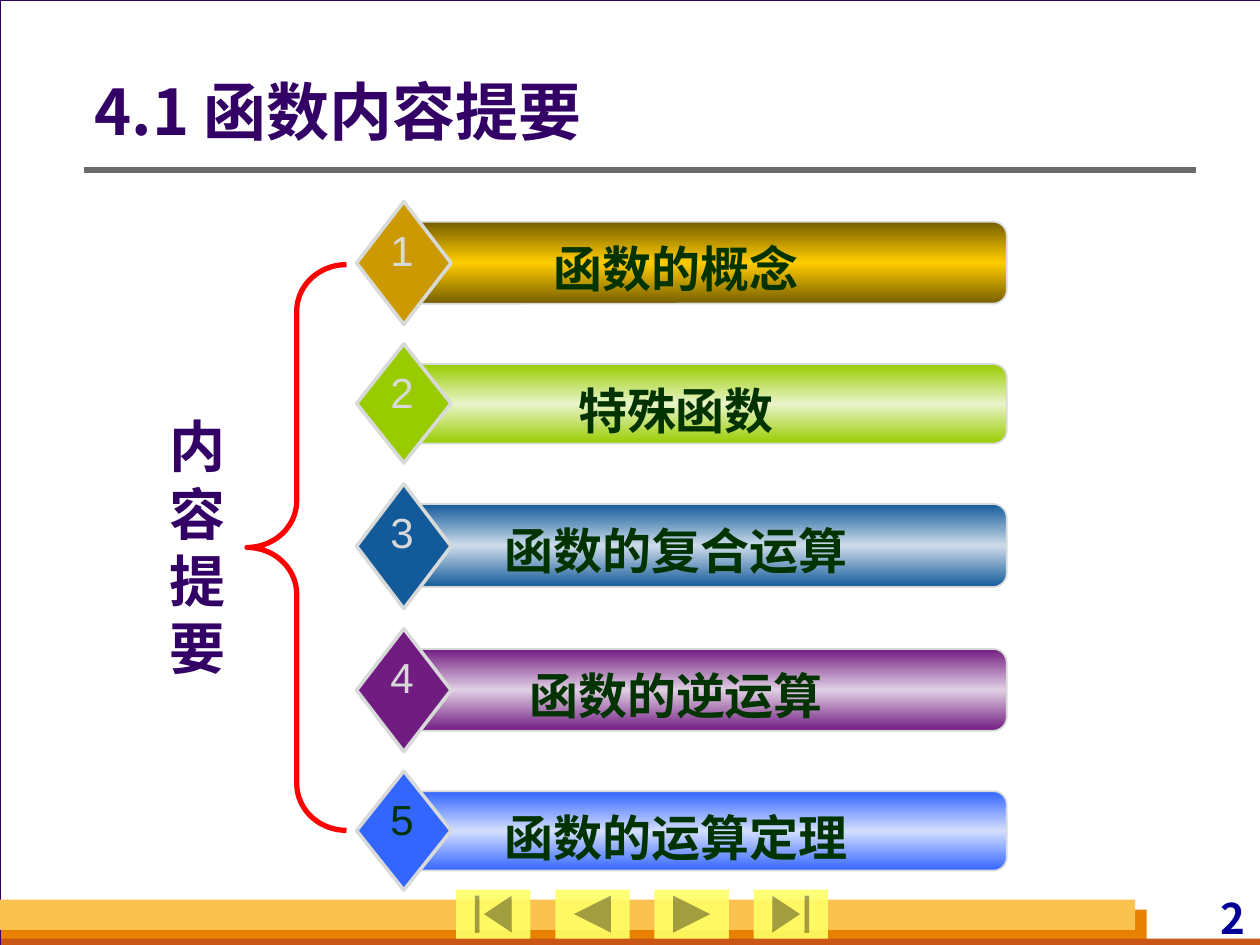
from copy import deepcopy
from dataclasses import dataclass

from lxml import etree
from pptx import Presentation
from pptx.dml.color import RGBColor
from pptx.enum.shapes import MSO_CONNECTOR, MSO_SHAPE
from pptx.enum.text import MSO_ANCHOR, MSO_AUTO_SIZE, PP_ALIGN
from pptx.oxml.ns import qn
from pptx.util import Inches, Pt

RECT, ROUND, DIAMOND = MSO_SHAPE.RECTANGLE, MSO_SHAPE.ROUNDED_RECTANGLE, MSO_SHAPE.DIAMOND
BRACE = MSO_SHAPE.LEFT_BRACE
BUTTONS = (MSO_SHAPE.ACTION_BUTTON_BEGINNING, MSO_SHAPE.ACTION_BUTTON_BACK_OR_PREVIOUS,
           MSO_SHAPE.ACTION_BUTTON_FORWARD_OR_NEXT, MSO_SHAPE.ACTION_BUTTON_END)
LEFT, CENTER, RIGHT = PP_ALIGN.LEFT, PP_ALIGN.CENTER, PP_ALIGN.RIGHT
MIDDLE, GROW = MSO_ANCHOR.MIDDLE, MSO_AUTO_SIZE.SHAPE_TO_FIT_TEXT
CJK, LATIN = "Noto Sans CJK SC", "Arial"
PURPLE, GREY, GREEN = "330066", "D8DADA", "003300"


@dataclass
class Topic:
    text: str
    top: float
    height: float
    edge: str
    middle: str
    diamond: str
    number: str = GREY


@dataclass
class Band:
    left: float
    top: float
    width: float
    height: float
    color: str


TOPICS = [
    Topic("函数的概念", 1.76, 0.65, "765E00", "FFCC00", "CC9900"),
    Topic("特殊函数", 2.89, 0.63, "99CC00", "E9F4C9", "99CC00"),
    Topic("函数的复合运算", 4.0, 0.66, "135A9A", "CDDCEA", "135A9A"),
    Topic("函数的逆运算", 5.15, 0.65, "711C81", "E1CFE4", "711C81"),
    Topic("函数的运算定理", 6.28, 0.63, "3366FF", "D4DFFF", "3366FF", GREEN),
]
FOOTER = [
    Band(0.01, 7.22, 9.09, 0.28, "E88000"),
    Band(0.01, 7.45, 10, 0.08, "C95616"),
    Band(0, 7.14, 9.01, 0.24, "FCC24F"),
]


def rgb(color: str) -> RGBColor:
    return RGBColor.from_string(color)


def add_shape(shapes, kind, left: float, top: float, width: float, height: float,
              fill: str = "", line: str = "", weight: float = 1):
    sp = shapes.add_shape(kind, Inches(left), Inches(top), Inches(width), Inches(height))
    sp.shadow.inherit = False
    if fill:
        sp.fill.solid()
        sp.fill.fore_color.rgb = rgb(fill)
    else:
        sp.fill.background()
    if line:
        sp.line.color.rgb = rgb(line)
        sp.line.width = Pt(weight)
    else:
        sp.line.fill.background()
    return sp


def set_text(tf, text: str, size: float, color: str, font: str = CJK,
             bold: bool = True, align=LEFT):
    p = tf.paragraphs[0]
    p.alignment = align
    r = p.add_run()
    r.text = text
    r.font.size, r.font.bold, r.font.name = Pt(size), bold, font
    r.font.color.rgb = rgb(color)
    etree.SubElement(r.font._element, qn("a:ea"), typeface=CJK)
    return p


def add_text(shapes, left: float, top: float, width: float, height: float,
             text: str, size: float, color: str, wrap: bool = True, **style):
    sp = shapes.add_textbox(Inches(left), Inches(top), Inches(width), Inches(height))
    tf = sp.text_frame
    tf.word_wrap, tf.auto_size = wrap, GROW
    return tf, set_text(tf, text, size, color, **style)


def set_gradient(sp, edge: str, middle: str) -> None:
    sp.fill.gradient()
    sp.fill.gradient_angle = 90
    stops = sp._element.spPr.find(".//" + qn("a:gsLst"))
    stops.insert(1, deepcopy(stops[0]))
    for stop, color, pos in zip(sp.fill.gradient_stops, (edge, middle, edge), (0, 0.5, 1)):
        stop.color.rgb = rgb(color)
        stop.position = pos


def add_topic(s, number: int, t: Topic) -> None:
    shapes = s.shapes.add_group_shape().shapes
    bar = add_shape(shapes, ROUND, 3.24, t.top, 4.75, t.height, t.edge, GREY, 0.99)
    set_gradient(bar, t.edge, t.middle)
    add_shape(shapes, DIAMOND, 2.83, t.top - 0.16, 0.75, t.height * 1.5, t.diamond, GREY, 2)
    add_text(shapes, 3.49, t.top + 0.08, 3.75, 0.57, t.text, 28, GREEN,
             font=LATIN, align=CENTER)
    add_text(shapes, 3, t.top - 0.03, 0.38, 0.5, str(number), 24, t.number,
             wrap=False, font=LATIN, bold=False, align=CENTER)


prs = Presentation()
prs.slide_width, prs.slide_height = Inches(10), Inches(7.5)
s = prs.slides.add_slide(prs.slide_layouts[5])
s.background.fill.solid()
s.background.fill.fore_color.rgb = rgb(GREY)

# Page, footer bands and page number
add_shape(s.shapes, RECT, 0, 0, 10.01, 7.5, "FFFFFF", PURPLE, 0.74)
for b in FOOTER:
    add_shape(s.shapes, RECT, b.left, b.top, b.width, b.height, b.color)
tf, p = add_text(s.shapes, 8.47, 7.08, 1.45, 0.4, "2", 24, "000099", align=RIGHT)
tf.margin_left = tf.margin_right = Inches(0.04)
tf.margin_top = tf.margin_bottom = 0
p.space_before = Pt(15)

# Rule under the title
rule = s.shapes.add_connector(MSO_CONNECTOR.STRAIGHT, Inches(0.67), Inches(1.35),
                              Inches(9.49), Inches(1.35))
rule.line.color.rgb = rgb("6B6B6B")
rule.line.width = Pt(3)
etree.SubElement(rule._element.spPr, qn("a:effectLst"))

# Navigation buttons
for i, kind in enumerate(BUTTONS):
    button = add_shape(s.shapes, kind, 3.62 + i * 0.787, 7.06, 0.59, 0.39, "FFFF66")
    color = button._element.spPr.find(".//" + qn("a:srgbClr"))
    etree.SubElement(color, qn("a:alpha"), val="90000")

# Title, raised above the page
title = s.shapes.title
s.shapes._spTree.append(title._element)
title.left, title.top = Inches(0.75), Inches(0.59)
title.width, title.height = Inches(8.68), Inches(0.64)
tf = title.text_frame
tf.margin_left, tf.vertical_anchor, tf.word_wrap = 0, MIDDLE, True
tf.auto_size = GROW
set_text(tf, "4.1 函数内容提要", 36, PURPLE).line_spacing = 0.9

# Topics
for number, topic in enumerate(TOPICS, 1):
    add_topic(s, number, topic)

# Stacked heading and brace
outline = s.shapes.add_group_shape().shapes
add_text(outline, 1.25, 3.22, 0.63, 2.24, "内容提要", 32, PURPLE)
brace = add_shape(outline, BRACE, 1.96, 2.1, 0.79, 4.49, line="FF0000", weight=3)
brace.adjustments[0] = 0.47

prs.save("out.pptx")
